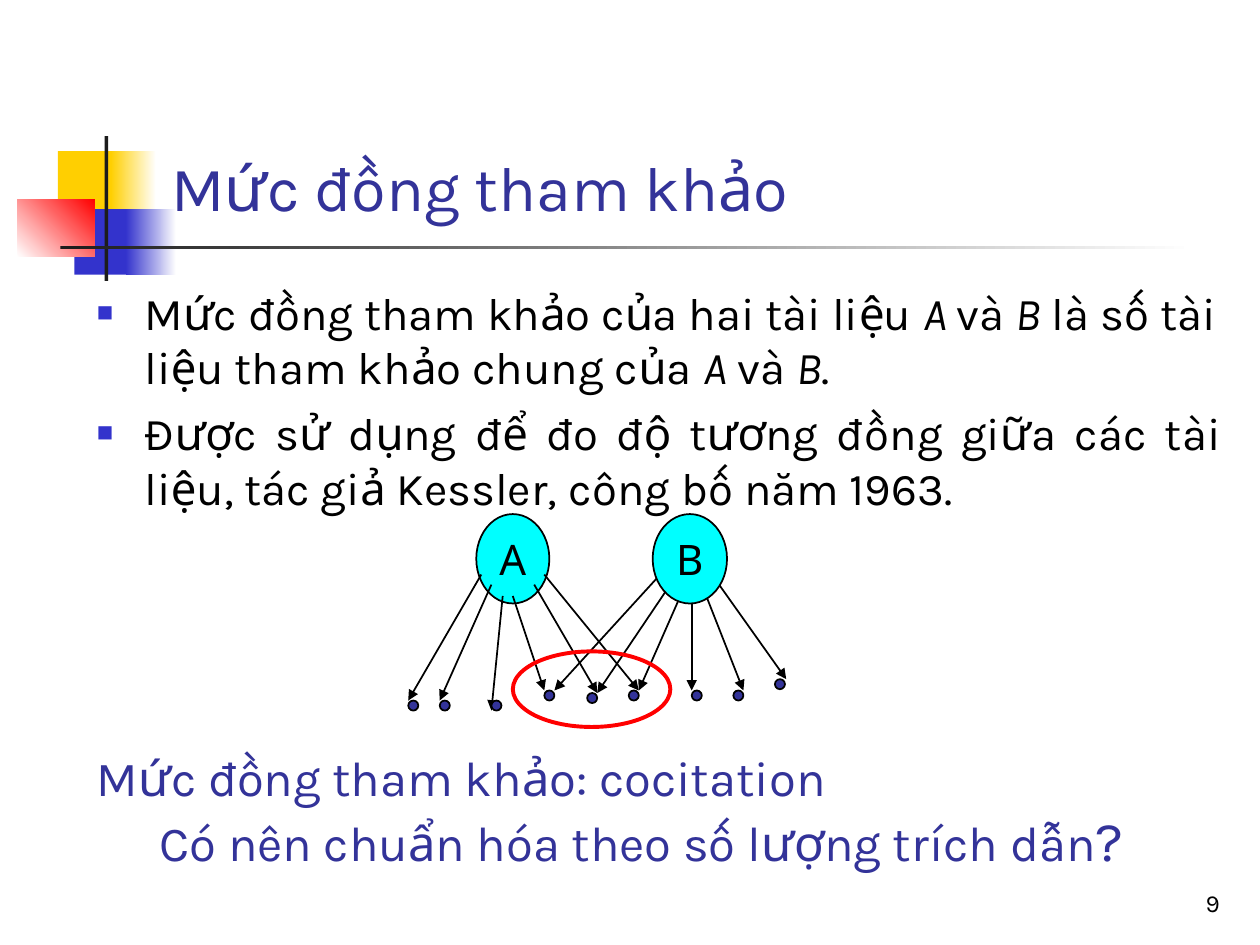
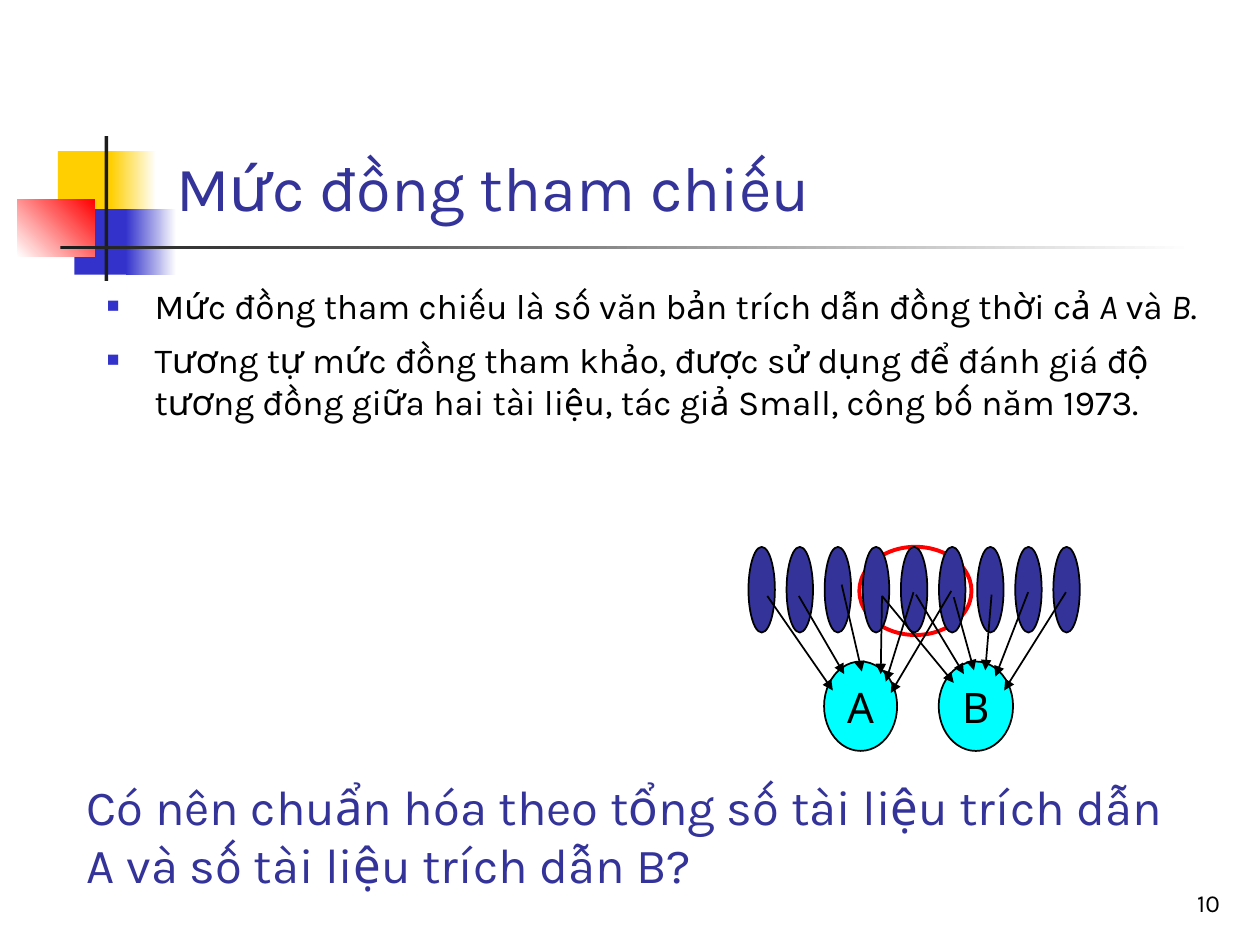
"""Build two slides on co-reference and co-citation between documents."""
import lxml.etree
import pptx
import pptx.dml.color
import pptx.enum.shapes
import pptx.enum.text
import pptx.oxml.ns
import pptx.util

Inches, Pt = pptx.util.Inches, pptx.util.Pt
qn = pptx.oxml.ns.qn
rgb = pptx.dml.color.RGBColor.from_string
kinds = pptx.enum.shapes.MSO_SHAPE
align = pptx.enum.text.PP_ALIGN
anchor = pptx.enum.text.MSO_ANCHOR

hues = {
    "gold": "FFCF01", "blue": "3333CC", "red": "FF0000", "white": "FFFFFF",
    "dark": "1C1C1C", "navy": "333399", "cyan": "00FFFF", "black": "000000",
}

decor = [
    (0.46, 1.2, 0.48, 0.52, ["gold"], 0),
    (0.88, 1.2, 0.36, 0.52, ["gold", "white"], 0),
    (0.59, 1.66, 0.46, 0.52, ["blue"], 0),
    (1, 1.66, 0.4, 0.52, ["blue", "white"], 0),
    (0.14, 1.58, 0.61, 0.46, ["white", "red"], 45),
    (0.83, 1.08, 0.03, 1.15, ["dark"], 0),
    (0.48, 1.95, 9, 0.03, ["dark", "white"], 0),
]

dots = [(3.24, 5.56), (3.49, 5.56), (3.9, 5.56), (4.32, 5.48), (4.66, 5.5),
        (4.99, 5.48), (5.49, 5.48), (5.82, 5.48), (6.15, 5.39)]

pages = [
    {
        "num": "9",
        "title": "Mức đồng tham khảo",
        "head": (1.26, 8.52),
        "body": (0.67, 2.21, 9.12, 2.02),
        "size": 26,
        "points": [
            ("Mức đồng tham khảo của hai tài liệu *A *và *B* là số tài liệu "
             "tham khảo chung của *A* và *B*.", align.LEFT),
            ("Được sử dụng để đo độ tương đồng giữa các tài liệu, tác giả "
             "Kessler, công bố năm 1963.", align.JUSTIFY),
        ],
        "under": [(3.78, 4.08, 0.58, 0.71, "cyan", "A")],
        "arrows": [
            (4.24, 4.64, 4.74, 5.5), (4.07, 4.73, 4.32, 5.48),
            (3.99, 4.73, 3.9, 5.64), (3.9, 4.64, 3.49, 5.56),
            (5.24, 4.56, 4.4, 5.48), (5.32, 4.64, 4.74, 5.5),
            (5.49, 4.73, 5.49, 5.48), (5.57, 4.64, 5.9, 5.48),
            (5.65, 4.56, 6.24, 5.39), (5.4, 4.73, 5.07, 5.48),
            (4.32, 4.56, 5.07, 5.48), (3.82, 4.56, 3.24, 5.56),
        ],
        "over": [(4.07, 5.17, 1.25, 0.6, None, ""),
                 (5.18, 4.08, 0.59, 0.71, "cyan", "B")]
                + [(x, y, 0.08, 0.08, "navy", "") for x, y in dots],
        "foot": (0.67, 5.88, 9.11, 1.1),
        "notes": [[("Mức đồng tham khảo: cocitation", 28)],
                  [("\tCó nên chuẩn hóa theo số lượng trích dẫn", 28), ("?", 32)]],
    },
    {
        "num": "10",
        "title": "Mức đồng tham chiếu",
        "head": (1.3, 8.49),
        "body": (0.75, 2.21, 9.04, 1.91),
        "size": 20.1,
        "points": [
            ("Mức đồng tham chiếu là số văn bản trích dẫn đồng thời cả "
             "*A* và *B*.", align.LEFT),
            ("Tương tự mức đồng tham khảo, được sử dụng để đánh giá độ tương "
             "đồng giữa hai tài liệu, tác giả Small, công bố năm 1973.", align.LEFT),
        ],
        "under": [(6.54, 5.25, 0.58, 0.71, "cyan", "A"),
                  (7.45, 5.25, 0.59, 0.71, "cyan", "B"),
                  (6.82, 4.34, 0.89, 0.7, None, "")]
                 + [(5.94 + 2.42 * i / 8, 4.34, 0.21, 0.68, "navy", "")
                    for i in range(9)],
        "arrows": [
            (6.09, 4.73, 6.61, 5.48), (6.34, 4.73, 6.7, 5.35),
            (6.68, 4.64, 6.84, 5.33), (7, 4.73, 6.99, 5.35),
            (7, 4.73, 7.57, 5.42), (7.27, 4.72, 7.65, 5.35),
            (7.57, 4.74, 7.73, 5.32), (7.87, 4.72, 7.82, 5.32),
            (8.16, 4.7, 7.9, 5.37), (8.46, 4.7, 7.97, 5.48),
            (7.25, 4.7, 7.03, 5.41), (7.55, 4.69, 7.07, 5.5),
        ],
        "over": [],
        "foot": (0.59, 6.11, 8.82, 1.04),
        "notes": [[("Có nên chuẩn hóa theo tổng số tài liệu trích dẫn A và số "
                    "tài liệu trích dẫn B?", 28)]],
    },
]


def write(par, text, size, hue, face="Karla"):
    for i, part in enumerate(text.split("*")):
        run = par.add_run()
        run.text = part
        run.font.size = Pt(size)
        run.font.name = face
        run.font.italic = i % 2 == 1
        run.font.color.rgb = rgb(hues[hue])


def draw(slide, ovals):
    for *spot, hue, label in ovals:
        oval = slide.shapes.add_shape(kinds.OVAL, *map(Inches, spot))
        oval.shadow.inherit = False
        if hue:
            oval.fill.solid()
            oval.fill.fore_color.rgb = rgb(hues[hue])
        else:
            oval.fill.background()
        oval.line.color.rgb = rgb(hues["black" if hue else "red"])
        oval.line.width = Pt(1 if hue else 2.25)
        if label:
            frame = oval.text_frame
            frame.word_wrap = False
            frame.vertical_anchor = anchor.MIDDLE
            frame.paragraphs[0].alignment = align.CENTER
            write(frame.paragraphs[0], label, 24, "black", "Noto Sans")


deck = pptx.Presentation()
deck.slide_width, deck.slide_height = Inches(10), Inches(7.5)
base = deck.slide_layouts[5]
slides = [deck.slides.add_slide(base) for page in pages]

for i, (*spot, tones, turn) in enumerate(decor):
    block = slides[0].shapes.add_shape(kinds.RECTANGLE, *map(Inches, spot))
    block.shadow.inherit = False
    block.line.fill.background()
    if len(tones) == 1:
        block.fill.solid()
        block.fill.fore_color.rgb = rgb(hues[tones[0]])
    else:
        block.fill.gradient()
        block.fill.gradient_angle = turn
        for stop, tone, place in zip(block.fill.gradient_stops, tones, (0, 1)):
            stop.color.rgb = rgb(hues[tone])
            stop.position = place
    block.element.nvSpPr.cNvPr.set("id", str(20 + i))
    base.shapes.element.append(block.element)

for slide, page in zip(slides, pages):
    title = slide.shapes.title
    left, width = page["head"]
    title.left, title.top = Inches(left), Inches(0.23)
    title.width, title.height = Inches(width), Inches(1.6)
    frame = title.text_frame
    frame.auto_size = pptx.enum.text.MSO_AUTO_SIZE.NONE
    frame.vertical_anchor = anchor.BOTTOM
    frame.paragraphs[0].alignment = align.LEFT
    write(frame.paragraphs[0], page["title"], 36, "navy")

    frame = slide.shapes.add_textbox(*map(Inches, page["body"])).text_frame
    frame.word_wrap = True
    for i, (text, side) in enumerate(page["points"]):
        par = frame.add_paragraph() if i else frame.paragraphs[0]
        props = par._p.get_or_add_pPr()
        props.set("marL", str(Inches(0.38)))
        props.set("indent", str(Inches(-0.38)))
        tint = lxml.etree.SubElement(props, qn("a:buClr"))
        lxml.etree.SubElement(tint, qn("a:srgbClr"), val=hues["blue"])
        lxml.etree.SubElement(props, qn("a:buSzPct"), val="60000")
        lxml.etree.SubElement(props, qn("a:buFont"), typeface="Arial")
        lxml.etree.SubElement(props, qn("a:buChar"), char="■")
        par.alignment = side
        par.space_before = Pt(6.5 if i else 0)
        write(par, text, page["size"], "black")

    draw(slide, page["under"])
    for ends in page["arrows"]:
        arrow = slide.shapes.add_connector(
            pptx.enum.shapes.MSO_CONNECTOR.STRAIGHT, *map(Inches, ends))
        arrow.line.color.rgb = rgb(hues["black"])
        arrow.line.width = Pt(1)
        props = arrow.element.spPr
        lxml.etree.SubElement(props.find(qn("a:ln")), qn("a:tailEnd"), type="triangle")
        lxml.etree.SubElement(props, qn("a:effectLst"))
    draw(slide, page["over"])

    frame = slide.shapes.add_textbox(*map(Inches, page["foot"])).text_frame
    frame.word_wrap = True
    for i, note in enumerate(page["notes"]):
        par = frame.add_paragraph() if i else frame.paragraphs[0]
        for text, size in note:
            write(par, text, size, "navy")

    spot = (7.7, 6.83, 2.08, 0.5)
    frame = slide.shapes.add_textbox(*map(Inches, spot)).text_frame
    frame.word_wrap = True
    frame.vertical_anchor = anchor.BOTTOM
    frame.paragraphs[0].alignment = align.RIGHT
    write(frame.paragraphs[0], page["num"], 14, "black")

deck.save("out.pptx")
